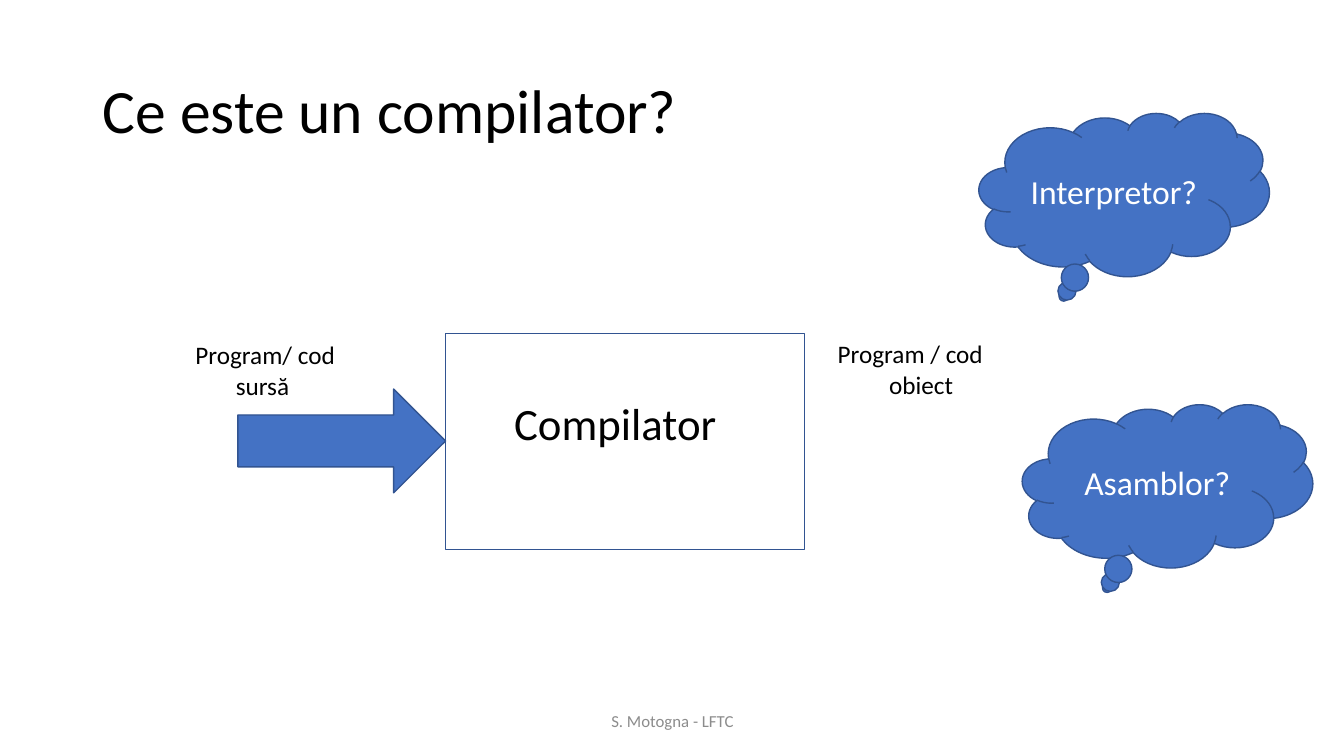
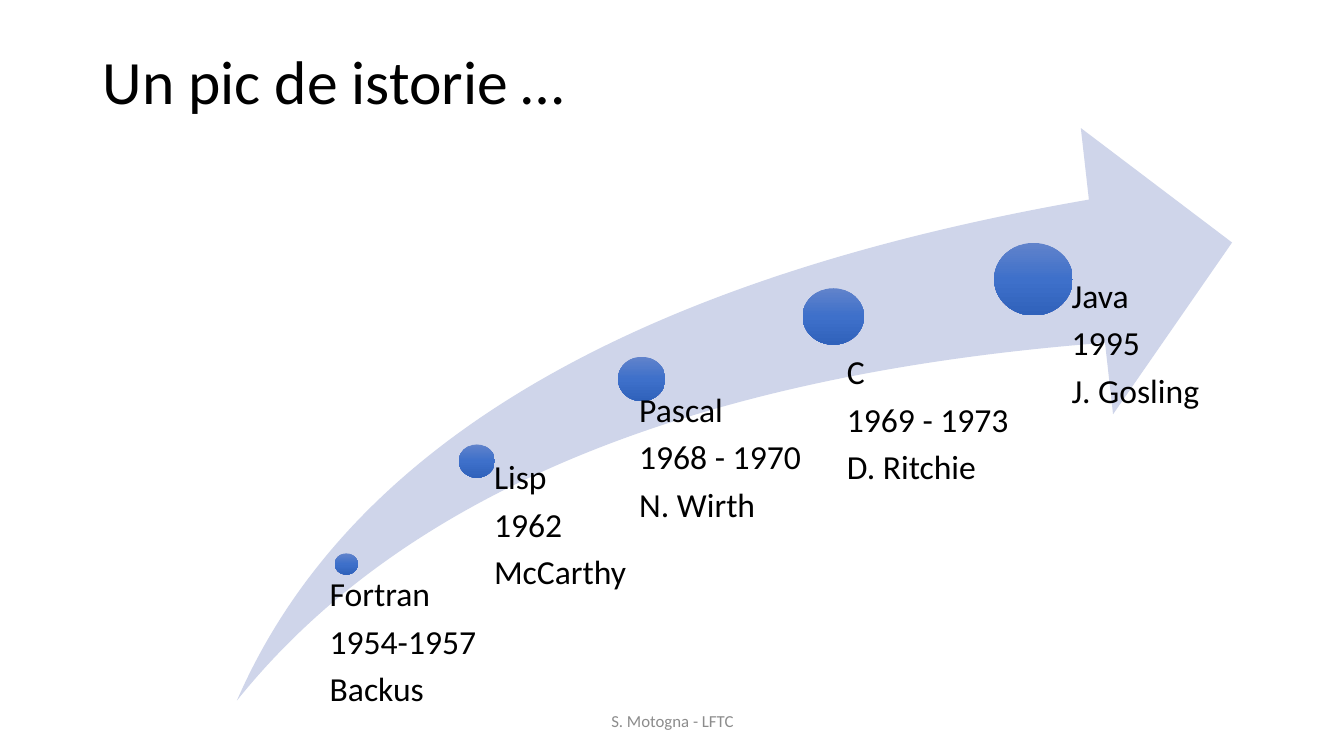
from copy import deepcopy

from pptx import Presentation
from pptx.dml.color import RGBColor
from pptx.enum.shapes import MSO_SHAPE
from pptx.enum.text import MSO_ANCHOR, PP_ALIGN
from pptx.util import Pt

RECT = MSO_SHAPE.RECTANGLE
ARROW = MSO_SHAPE.RIGHT_ARROW
CLOUD = MSO_SHAPE.CLOUD_CALLOUT
SWOOSH = MSO_SHAPE.SWOOSH_ARROW
OVAL = MSO_SHAPE.OVAL
TOP, MIDDLE = MSO_ANCHOR.TOP, MSO_ANCHOR.MIDDLE
LEFT, CENTER = PP_ALIGN.LEFT, PP_ALIGN.CENTER

BLACK = RGBColor(0x00, 0x00, 0x00)
WHITE = RGBColor(0xFF, 0xFF, 0xFF)
GRAY = RGBColor(0x8C, 0x8C, 0x8C)
BLUE = RGBColor(0x44, 0x72, 0xC4)
EDGE = RGBColor(0x32, 0x54, 0x91)
PALE = RGBColor(0xCF, 0xD5, 0xEA)
SHADES = (RGBColor(0x61, 0x83, 0xCB), RGBColor(0x3E, 0x70, 0xCA),
          RGBColor(0x30, 0x62, 0xBB))

FONT = "Calibri"
SCALE = 9144


def emu(*sizes):
    return [size * SCALE for size in sizes]


class Deck:
    """Holds the shared style and the slide being drawn."""

    def __init__(self):
        self.prs = Presentation()
        self.prs.slide_width, self.prs.slide_height = emu(1333, 750)
        self.slide = None

    def start(self, title, height):
        self.slide = self.prs.slides.add_slide(self.prs.slide_layouts[6])
        self.text((92, 40, 1150, height), title, 44, anchor=MIDDLE, line=0.9)
        self.text((442, 695, 450, 40), "S. Motogna - LFTC", 12, GRAY,
                  CENTER, MIDDLE)

    def style(self, frame, text, size, color, align, anchor):
        frame.word_wrap = True
        frame.vertical_anchor = anchor
        frame.text = text
        for para in frame.paragraphs:
            para.alignment = align
            for run in para.runs:
                run.font.name = FONT
                run.font.size = Pt(size)
                run.font.color.rgb = color

    def text(self, box, text, size, color=BLACK, align=LEFT, anchor=TOP,
             line=1.0):
        frame = self.slide.shapes.add_textbox(*emu(*box)).text_frame
        self.style(frame, text, size, color, align, anchor)
        for para in frame.paragraphs:
            para.line_spacing = line
        return frame

    def label(self, box, text, indent):
        frame = self.text(box, text, 18)
        props = frame.paragraphs[1]._p.get_or_add_pPr()
        props.set("marL", str(indent * SCALE))

    def shape(self, kind, box, fill=None, edge=None):
        shape = self.slide.shapes.add_shape(kind, *emu(*box))
        shape.shadow.inherit = False
        if fill is None:
            shape.fill.background()
        else:
            shape.fill.solid()
            shape.fill.fore_color.rgb = fill
        if edge is None:
            shape.line.fill.background()
        else:
            shape.line.color.rgb = edge
            shape.line.width = Pt(1)
        return shape

    def cloud(self, left, top, text):
        shape = self.shape(CLOUD, (left, top, 288, 162), BLUE, EDGE)
        self.style(shape.text_frame, text, 24, WHITE, CENTER, MIDDLE)

    def swoosh(self, box):
        shape = self.shape(SWOOSH, box, PALE)
        shape.adjustments[0] = shape.adjustments[1] = 0.25

    def dot(self, box):
        fill = self.shape(OVAL, box, BLUE).fill
        fill.gradient()
        fill.gradient_angle = 270
        first = fill.gradient_stops[0]._gs
        first.addnext(deepcopy(first))
        for place, (stop, shade) in enumerate(zip(fill.gradient_stops, SHADES)):
            stop.position = place / 2
            stop.color.rgb = shade

    def event(self, left, top, text):
        frame = self.text((left, top, 180, 135), text, 24, line=0.9)
        frame.margin_left = frame.margin_right = 0
        frame.margin_top = frame.margin_bottom = 0
        for para in frame.paragraphs:
            para.space_after = Pt(8)


def draw_scheme(deck):
    deck.start("Ce este un compilator?", 145)
    deck.shape(RECT, (442, 331, 356, 214), edge=EDGE)
    deck.shape(ARROW, (236, 386, 206, 103), BLUE, EDGE)
    deck.label((184, 332, 205, 71), "Program/ cod\nsursă", 40)
    deck.label((821, 331, 205, 71), "Program / cod\nobiect", 51)
    deck.text((500, 388, 240, 64), "Compilator", 32)
    deck.cloud(971, 112, "Interpretor?")
    deck.cloud(1014, 401, "Asamblor?")


def draw_history(deck):
    deck.start("Un pic de istorie …", 87)
    deck.swoosh((235, 127, 987, 568))
    events = (
        ((332, 549, 23, 21), (327, 573), "Fortran\n1954-1957\nBackus"),
        ((455, 441, 36, 33), (490, 457), "Lisp\n1962\nMcCarthy"),
        ((613, 354, 47, 44), (634, 390), "Pascal\n1968 - 1970\nN. Wirth"),
        ((796, 286, 61, 56), (840, 353), "C\n1969 - 1973\nD. Ritchie"),
        ((986, 241, 78, 72), (1063, 277), "Java\n1995\nJ. Gosling"),
    )
    for dot, spot, text in events:
        deck.dot(dot)
        deck.event(*spot, text)


def main():
    deck = Deck()
    draw_scheme(deck)
    draw_history(deck)
    deck.prs.save("out.pptx")


if __name__ == "__main__":
    main()
